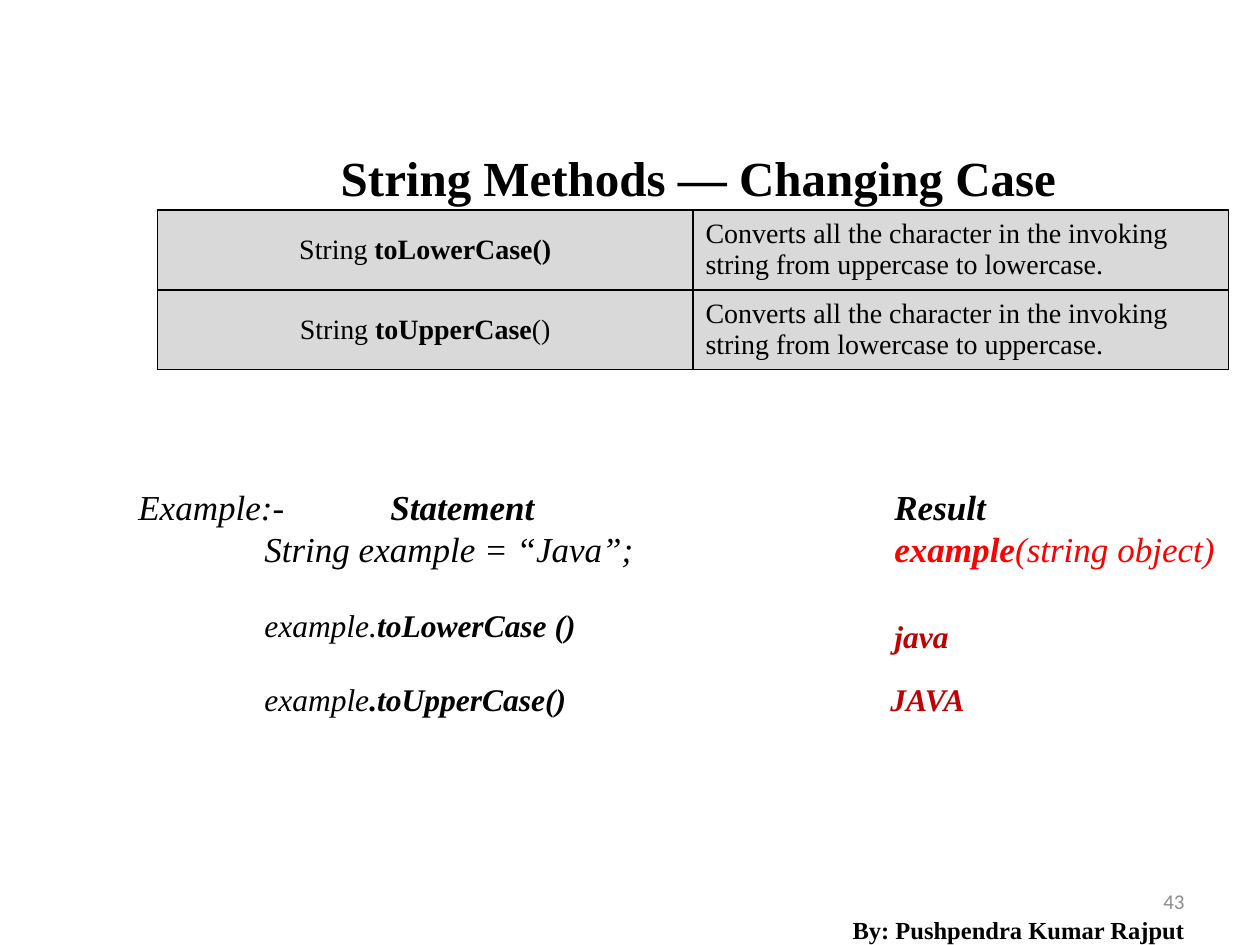
from lxml import etree
from pptx import Presentation
from pptx.dml.color import RGBColor
from pptx.enum.text import MSO_ANCHOR, PP_ALIGN
from pptx.oxml import parse_xml
from pptx.oxml.ns import qn
from pptx.util import Pt

TOP, MID = MSO_ANCHOR.TOP, MSO_ANCHOR.MIDDLE
LEFT, MIDDLE, RIGHT = PP_ALIGN.LEFT, PP_ALIGN.CENTER, PP_ALIGN.RIGHT
NS = 'xmlns:a="http://schemas.openxmlformats.org/drawingml/2006/main"'
SERIF = "Times New Roman"
BLACK, RED, DARK, GREY, PALE = "000000", "FF0000", "C00000", "8C8C8C", "D9D9D9"
BOLD = {"bold": True}


def paint(color, value):
    color.rgb = RGBColor.from_string(value)


def add_run(para, text, size, color=BLACK, **format):
    run = para.add_run()
    run.text = text
    values = {"size": Pt(size), "name": SERIF, **format}
    for key, value in values.items():
        setattr(run.font, key, value)
    paint(run.font.color, color)
    return run


def add_text(slide, place, runs, size, align=LEFT, anchor=TOP, wrap=True, **base):
    """Add a box holding one paragraph of (text, format) runs."""
    box = slide.shapes.add_textbox(*map(Pt, place))
    frame = box.text_frame
    frame.word_wrap = wrap
    frame.vertical_anchor = anchor
    para = frame.paragraphs[0]
    para.alignment = align
    for text, format in runs:
        add_run(para, text, size, **{**base, **format})
    return frame


def add_tabs(para, stops):
    tabs = etree.SubElement(para._p.get_or_add_pPr(), qn("a:tabLst"))
    for stop in stops:
        etree.SubElement(tabs, qn("a:tab"), pos=str(Pt(stop)), algn="l")


def add_shade(run):
    """Put a soft shadow under the letters of a run."""
    shade = parse_xml(
        f'<a:effectLst {NS}><a:outerShdw blurRad="38100" dist="38100" dir="2700000" '
        'algn="tl"><a:srgbClr val="000000"><a:alpha val="43000"/></a:srgbClr>'
        "</a:outerShdw></a:effectLst>")
    run.font._element.find(qn("a:solidFill")).addnext(shade)


def add_rules(cell):
    """Draw a thin black line on each side of a cell."""
    props = cell._tc.get_or_add_tcPr()
    for spot, side in enumerate(("lnL", "lnR", "lnT", "lnB")):
        props.insert(spot, parse_xml(
            f'<a:{side} {NS} w="{Pt(1)}"><a:solidFill><a:srgbClr val="{BLACK}"/>'
            f"</a:solidFill></a:{side}>"))


def add_grid(slide, place, rows):
    table = slide.shapes.add_table(len(rows), 2, *map(Pt, place)).table
    for r, row in enumerate(rows):
        for c, runs in enumerate(row):
            cell = table.cell(r, c)
            cell.fill.solid()
            paint(cell.fill.fore_color, PALE)
            cell.vertical_anchor = MID
            para = cell.text_frame.paragraphs[0]
            para.alignment = LEFT if c else MIDDLE
            for text, format in runs:
                add_run(para, text, 16, **{"bold": False, **format})
            add_rules(cell)


def add_sample(slide, place, lines):
    """Add the example heading and statement, set in tabbed columns."""
    frame = add_text(slide, place, [], 20)
    for n, runs in enumerate(lines):
        para = frame.add_paragraph() if n else frame.paragraphs[0]
        add_tabs(para, (72, 144, 432))
        for text, format in runs:
            add_shade(add_run(para, text, 20, italic=True, **format))


def main():
    deck = Presentation()
    deck.slide_width, deck.slide_height = Pt(720), Pt(540)
    slide = deck.slides.add_slide(deck.slide_layouts[6])

    # Footer
    add_text(slide, (516, 500.5, 168, 28.75), [("43", {})], 12, RIGHT, MID,
             name="Calibri", color=GREY)
    add_text(slide, (468, 517, 228, 28.75), [("By: Pushpendra Kumar Rajput", BOLD)],
             14, MIDDLE, MID)

    # Title
    title = add_text(slide, (120, 72, 558, 42),
                     [("String Methods — Changing Case", BOLD)], 28, MIDDLE)
    title.margin_top = Pt(9)
    title.paragraphs[0].line_spacing = 1.1

    # Table of methods
    note = "Converts all the character in the invoking string from {} to {}."
    add_grid(slide, (90, 120, 612, 89.28), [
        ([("String ", {}), ("toLowerCase()", BOLD)],
         [(note.format("uppercase", "lowercase"), {})]),
        ([("String ", {}), ("toUpperCase", BOLD), ("()", {})],
         [(note.format("lowercase", "uppercase"), {})]),
    ])

    # Example
    add_sample(slide, (72, 273.6, 648, 152.6), [
        [("Example:- \t", {}), ("Statement\tResult", BOLD)],
        [("\tString example = “Java”;\t", {}),
         ("example", {"color": RED, "bold": True}),
         ("(string object)", {"color": RED})],
    ])

    # Calls and their results
    for place, runs in (
        ((144, 342.7, 232.5, 28.8), [("example.", {}), ("toLowerCase ()", BOLD)]),
        ((504, 349.2, 46, 28.8), [("java", {"color": DARK, "bold": True})]),
        ((144, 385.2, 193, 28.8), [("example", {}), (".toUpperCase()", BOLD)]),
        ((501.8, 385.2, 57.6, 28.8), [("JAVA", {"color": DARK, "bold": True})]),
    ):
        add_text(slide, place, runs, 18, wrap=False, italic=True)

    deck.save("out.pptx")


if __name__ == "__main__":
    main()
